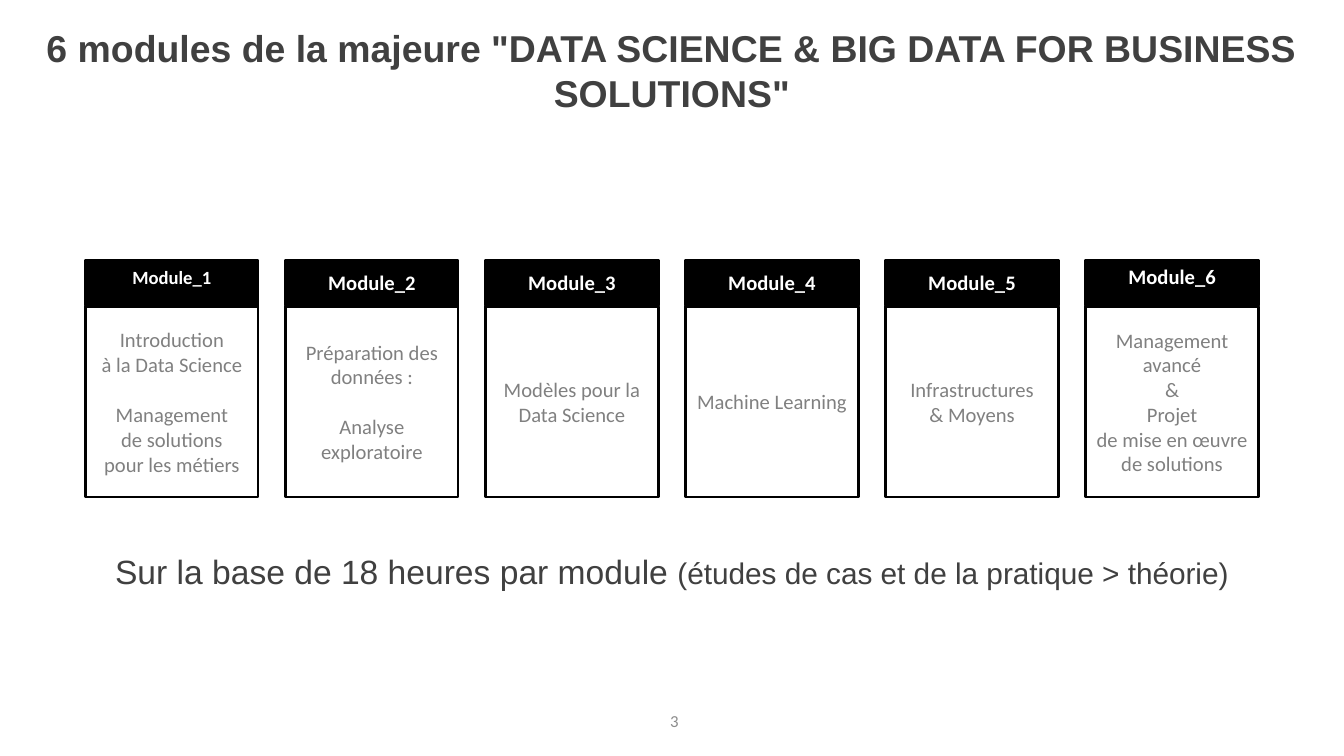
from dataclasses import dataclass

from pptx import Presentation
from pptx.dml.color import RGBColor
from pptx.enum.shapes import MSO_SHAPE as Shape
from pptx.enum.text import MSO_ANCHOR as Anchor, MSO_AUTO_SIZE as AutoSize, PP_ALIGN as Align
from pptx.util import Inches, Pt

COLORS = {
    "black": "000000",
    "white": "FFFFFF",
    "heading": "404040",
    "body": "808080",
    "number": "8C8C8C",
}

CARD_LEFT, CARD_RIGHT, CARD_WIDTH = 0.85, 10.77, 1.71
HEADER_TOP, HEADER_HEIGHT = 2.58, 0.45
BODY_TOP, BODY_HEIGHT = 3.04, 1.89
BODY_SIZE = 14.7


@dataclass
class Module:
    name: str
    topics: list[list[str]]  # each topic is a list of paragraphs
    name_size: float = BODY_SIZE
    tight_name: bool = False


MODULES = [
    Module("Module_1", [["Introduction", "à la Data Science"],
                        ["Management", "de solutions", "pour les métiers"]], 13.3, True),
    Module("Module_2", [["Préparation des\ndonnées :"], ["Analyse\nexploratoire"]]),
    Module("Module_3", [["Modèles pour la Data Science"]]),
    Module("Module_4", [["Machine Learning"]]),
    Module("Module_5", [["Infrastructures", "& Moyens"]]),
    Module("Module_6", [["Management avancé", "&", "Projet", "de mise en œuvre",
                         "de solutions"]], tight_name=True),
]


def color(name: str) -> RGBColor:
    return RGBColor.from_string(COLORS[name])


def prepare_frame(shape, anchor: Anchor, inset: float):
    frame = shape.text_frame
    frame.word_wrap = True
    frame.auto_size = AutoSize.NONE
    frame.vertical_anchor = anchor
    frame.margin_left = frame.margin_right = Inches(inset)
    frame.margin_top = frame.margin_bottom = Inches(inset)
    return frame


def format_run(run, size: float, font: str, color_name: str, bold: bool = False) -> None:
    run.font.size = Pt(size)
    run.font.name = font
    run.font.bold = bold
    run.font.color.rgb = color(color_name)


def format_paragraph(paragraph, size: float, font: str, color_name: str,
                     bold: bool = False, align: Align = Align.CENTER) -> None:
    paragraph.alignment = align
    for run in paragraph.runs:
        format_run(run, size, font, color_name, bold)


def place(shape, left: float, top: float, width: float, height: float) -> None:
    shape.left, shape.top = Inches(left), Inches(top)
    shape.width, shape.height = Inches(width), Inches(height)


def add_box(slide, left: float, top: float, height: float, fill: str):
    box = slide.shapes.add_shape(Shape.RECTANGLE, Inches(left), Inches(top),
                                 Inches(CARD_WIDTH), Inches(height))
    box.shadow.inherit = False
    box.fill.solid()
    box.fill.fore_color.rgb = color(fill)
    box.line.color.rgb = color("black")
    box.line.width = Pt(2)
    return prepare_frame(box, Anchor.MIDDLE, 0.05)


def add_module(slide, module: Module, left: float) -> None:
    # Description
    body = add_box(slide, left, BODY_TOP, BODY_HEIGHT, "white")
    body.text = "\n".join("" for topic in module.topics for _ in topic)
    paragraphs = iter(body.paragraphs)
    for topic_index, topic in enumerate(module.topics):
        for line_index, line in enumerate(topic):
            paragraph = next(paragraphs)
            paragraph.text = line
            format_paragraph(paragraph, BODY_SIZE, "Calibri", "body")
            if topic_index and not line_index:
                paragraph.space_before = Pt(18)

    # Header
    header = add_box(slide, left, HEADER_TOP, HEADER_HEIGHT, "black")
    header.text = module.name
    paragraph = header.paragraphs[0]
    format_paragraph(paragraph, module.name_size, "Calibri", "white", bold=True)
    if module.tight_name:
        paragraph.line_spacing = Pt(8)


def main() -> None:
    presentation = Presentation()
    presentation.slide_width, presentation.slide_height = Inches(13.33), Inches(7.5)
    slide = presentation.slides.add_slide(presentation.slide_layouts[5])

    # Title
    title = slide.shapes.title
    place(title, 0, 0.18, 13.33, 1.03)
    frame = prepare_frame(title, Anchor.TOP, 0.07)
    frame.text = '6 modules de la majeure "DATA SCIENCE & BIG DATA FOR BUSINESS SOLUTIONS"'
    format_paragraph(frame.paragraphs[0], 26.7, "Arial", "heading", bold=True)

    # Module cards
    pitch = (CARD_RIGHT - CARD_LEFT) / (len(MODULES) - 1)
    for index, module in enumerate(MODULES):
        add_module(slide, module, CARD_LEFT + index * pitch)

    # Duration
    duration = slide.shapes.add_textbox(0, Inches(5.4), Inches(13.33), Inches(0.54))
    frame = prepare_frame(duration, Anchor.TOP, 0.07)
    frame.text = "Sur la base de 18 heures par module "
    paragraph = frame.paragraphs[0]
    format_paragraph(paragraph, 24, "Arial", "heading")
    detail = paragraph.add_run()
    detail.text = "(études de cas et de la pratique > théorie)"
    format_run(detail, 21.3, "Arial", "heading")

    # Page number
    number = slide.shapes.add_textbox(Inches(6.54), Inches(6.98), Inches(0.19), Inches(0.34))
    frame = prepare_frame(number, Anchor.MIDDLE, 0)
    frame.text = "3"
    format_paragraph(frame.paragraphs[0], 12, "Calibri", "number", align=Align.RIGHT)

    presentation.save("out.pptx")


if __name__ == "__main__":
    main()
